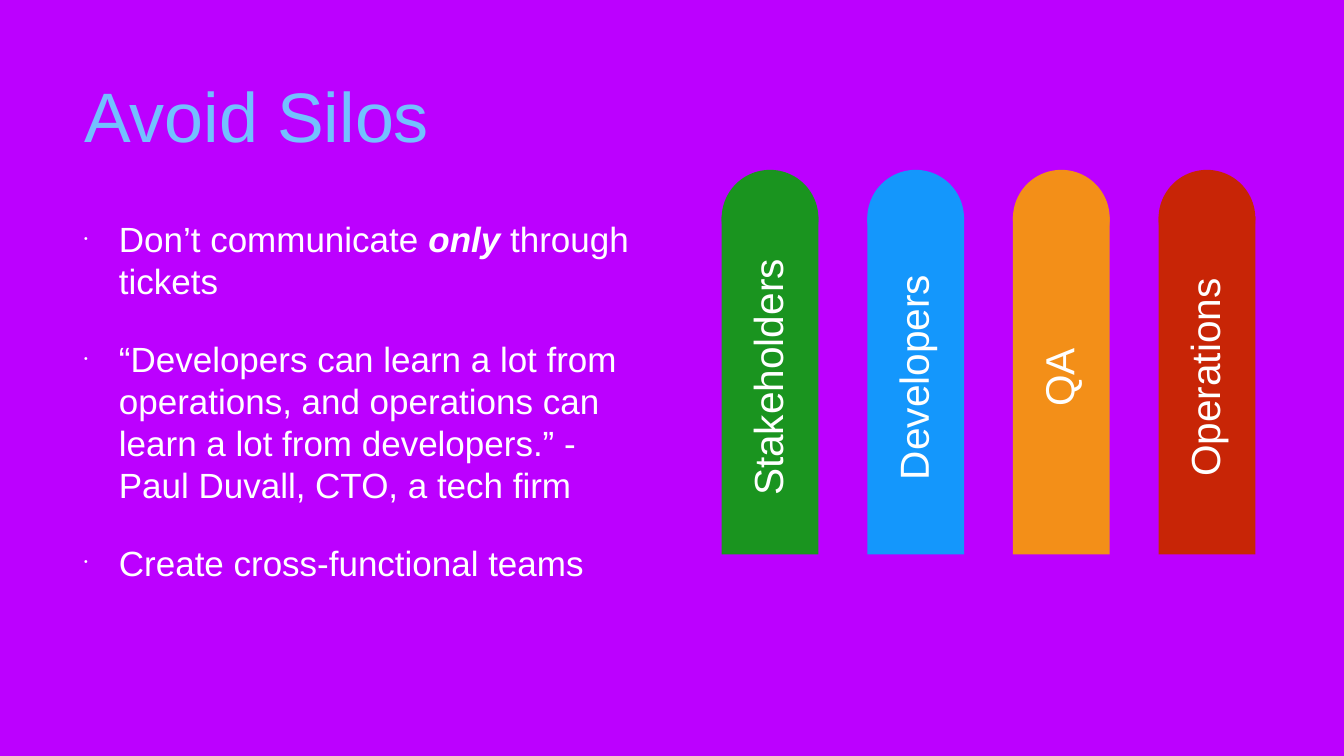
from lxml import etree
from pptx import Presentation
from pptx.dml.color import RGBColor
from pptx.enum.shapes import MSO_SHAPE
from pptx.enum.text import MSO_ANCHOR, MSO_AUTO_SIZE, PP_ALIGN
from pptx.oxml.ns import qn
from pptx.util import Inches, Pt

RECTANGLE = MSO_SHAPE.RECTANGLE
OVAL = MSO_SHAPE.OVAL
TOP, MIDDLE = MSO_ANCHOR.TOP, MSO_ANCHOR.MIDDLE
LEFT, CENTER = PP_ALIGN.LEFT, PP_ALIGN.CENTER
NO_AUTOFIT = MSO_AUTO_SIZE.NONE

FONT = "Arial"
PURPLE, SKY, WHITE = "BC00FF", "73C0FE", "FFFFFF"
INSET = 0.06
BULLET_INDENT = 0.69

SILO_LEFT, SILO_PITCH, SILO_WIDTH = 14.32, 2.89, 1.92
DOME_TOP, BODY_TOP, BODY_HEIGHT = 3.37, 4.3, 6.7
LABEL_HEIGHT, LABEL_MIDDLE, LABEL_SHIFT = 1.47, 7.49, -0.06

SILOS = [
    ("Stakeholders", "1A941F", 6.44),
    ("Developers", "1497FC", 5.54),
    ("QA", "F38F18", 1.7),
    ("Operations", "C82506", 5.43),
]
ADVICE = [
    [("Don’t communicate ", False), ("only", True), (" through tickets", False)],
    [("“Developers can learn a lot from operations, and operations can "
      "learn a lot from developers.” - Paul Duvall, CTO, a tech firm", False)],
    [("Create cross-functional teams", False)],
]


def rgb(color):
    return RGBColor.from_string(color)


def write(paragraph, text, size, color=WHITE, emphasis=False, align=LEFT):
    paragraph.alignment = align
    run = paragraph.add_run()
    run.text = text
    run.font.name = FONT
    run.font.size = Pt(size)
    run.font.bold = run.font.italic = emphasis
    run.font.color.rgb = rgb(color)


def set_frame(frame, anchor):
    frame.auto_size = NO_AUTOFIT
    frame.word_wrap = True
    frame.vertical_anchor = anchor
    frame.margin_left = frame.margin_right = Inches(INSET)
    frame.margin_top = frame.margin_bottom = Inches(INSET)


def place(shape, left, top, width, height):
    shape.left, shape.top = Inches(left), Inches(top)
    shape.width, shape.height = Inches(width), Inches(height)


def add_bullet(paragraph):
    properties = paragraph._p.get_or_add_pPr()
    properties.set("marL", str(Inches(BULLET_INDENT)))
    properties.set("indent", str(-Inches(BULLET_INDENT)))
    etree.SubElement(properties, qn("a:buSzPct"), val="30000")
    etree.SubElement(properties, qn("a:buFont"), typeface=FONT)
    etree.SubElement(properties, qn("a:buChar"), char="•")


def add_title(slide):
    title = slide.shapes.title
    place(title, 1.61, 0.39, 23.44, 3.75)
    set_frame(title.text_frame, MIDDLE)
    write(title.text_frame.paragraphs[0], "Avoid Silos", size=100, color=SKY)


def add_advice(slide):
    body = slide.placeholders[1]
    place(body, 1.61, 4.26, 10.94, 8.79)
    frame = body.text_frame
    set_frame(frame, TOP)
    for index, phrases in enumerate(ADVICE):
        paragraph = frame.add_paragraph() if index else frame.paragraphs[0]
        add_bullet(paragraph)
        paragraph.space_before = Pt(51 if index else 0)
        for text, emphasis in phrases:
            write(paragraph, text, size=50, emphasis=emphasis)


def add_block(group, kind, color, left, top, width, height):
    block = group.shapes.add_shape(
        kind, Inches(left), Inches(top), Inches(width), Inches(height))
    block.shadow.inherit = False
    block.fill.solid()
    block.fill.fore_color.rgb = rgb(color)
    block.line.fill.background()
    return block


def add_silo(slide, left, name, color, label_width):
    silo = slide.shapes.add_group_shape()
    add_block(silo, RECTANGLE, color, left, BODY_TOP, SILO_WIDTH, BODY_HEIGHT)
    add_block(silo, OVAL, color, left, DOME_TOP, SILO_WIDTH, SILO_WIDTH)
    label_left = left + (SILO_WIDTH - label_width) / 2 + LABEL_SHIFT
    label = add_block(silo, RECTANGLE, color, label_left,
                      LABEL_MIDDLE - LABEL_HEIGHT / 2, label_width, LABEL_HEIGHT)
    label.rotation = 270
    set_frame(label.text_frame, MIDDLE)
    write(label.text_frame.paragraphs[0], name, size=58, align=CENTER)


def main():
    presentation = Presentation()
    presentation.slide_width = Inches(26.67)
    presentation.slide_height = Inches(15)
    slide = presentation.slides.add_slide(presentation.slide_layouts[1])
    slide.background.fill.solid()
    slide.background.fill.fore_color.rgb = rgb(PURPLE)
    add_title(slide)
    add_advice(slide)
    for index, (name, color, label_width) in enumerate(SILOS):
        add_silo(slide, SILO_LEFT + index * SILO_PITCH, name, color, label_width)
    presentation.save("out.pptx")


if __name__ == "__main__":
    main()
